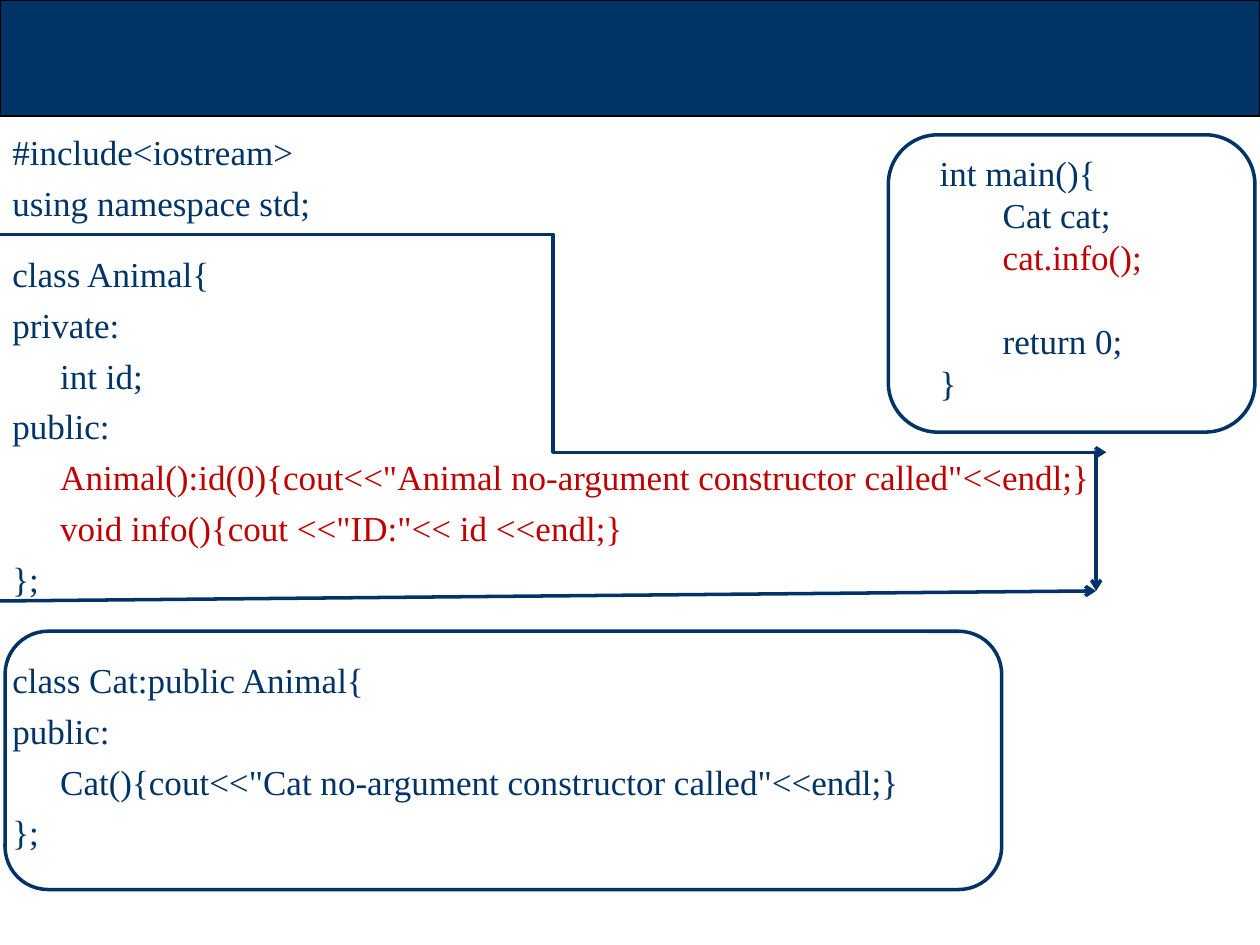
import pptx
import pptx.util
import pptx.dml.color
import pptx.enum.shapes
import pptx.oxml.ns
from lxml import etree

Inches = pptx.util.Inches
Pt = pptx.util.Pt
SHAPES = pptx.enum.shapes.MSO_SHAPE
LINKS = pptx.enum.shapes.MSO_CONNECTOR
NAVY, RED = "003366", "C00000"
FONT = "Times New Roman"

# Each line of code: text, colour, space before in points
CLASSES = [
    ("#include<iostream>", NAVY, 0),
    ("using namespace std;", NAVY, 5),
    ("class Animal{", NAVY, 16.5),
    ("private:", NAVY, 5),
    ("\tint id;", NAVY, 5),
    ("public:", NAVY, 5),
    ('\tAnimal():id(0){cout<<"Animal no-argument constructor called"<<endl;}', RED, 5),
    ('\tvoid info(){cout <<"ID:"<< id <<endl;}', RED, 5),
    ("};", NAVY, 5),
    ("class Cat:public Animal{", NAVY, 34),
    ("public:", NAVY, 5),
    ('\tCat(){cout<<"Cat no-argument constructor called"<<endl;}', NAVY, 5),
    ("};", NAVY, 5),
]
MAIN = [
    ("int main(){", NAVY, 0),
    ("\tCat cat;", NAVY, 0),
    ("\tcat.info();", RED, 0),
    ("\treturn 0;", NAVY, 24),
    ("}", NAVY, 0),
]


def color(code):
    return pptx.dml.color.RGBColor.from_string(code)


def write(para, text, size=20, tint=NAVY, before=0, hang=0):
    """Fill a paragraph; hang is the hanging indent in inches."""
    if hang:
        props = para._p.get_or_add_pPr()
        props.set("marL", str(Inches(hang)))
        props.set("indent", str(-Inches(hang)))
    para.space_before = Pt(before)
    run = para.add_run()
    run.text = text
    run.font.name = FONT
    run.font.size = Pt(size)
    run.font.color.rgb = color(tint)


def add_code(slide, box, lines, hang=0):
    frame = slide.shapes.add_textbox(*map(Inches, box)).text_frame
    frame.word_wrap = True
    for i, (text, tint, before) in enumerate(lines):
        para = frame.add_paragraph() if i else frame.paragraphs[0]
        write(para, text, tint=tint, before=before, hang=hang)


def add_box(slide, kind, box, fill=None, line=NAVY, width=2):
    shape = slide.shapes.add_shape(kind, *map(Inches, box))
    shape.shadow.inherit = False
    if fill:
        shape.fill.solid()
        shape.fill.fore_color.rgb = color(fill)
    else:
        shape.fill.background()
    shape.line.color.rgb = color(line)
    shape.line.width = Pt(width)


def add_arrow(slide, kind, start, end):
    link = slide.shapes.add_connector(kind, *map(Inches, start + end))
    link.line.color.rgb = color(NAVY)
    link.line.width = Pt(2)
    tag = pptx.oxml.ns.qn
    etree.SubElement(link.line._get_or_add_ln(), tag("a:tailEnd"), type="arrow")
    etree.SubElement(link._element.spPr, tag("a:effectLst"))


def add_outline(slide, box):
    """Mark off the Animal class with arrows that meet at the right."""
    left, top, width, height = box
    right, step, foot = left + width, top + 1.73, top + height
    corner = (right, foot - 0.08)
    add_arrow(slide, LINKS.ELBOW, (left, top), (right + 0.08, step))
    add_arrow(slide, LINKS.STRAIGHT, (right, step), corner)
    add_arrow(slide, LINKS.STRAIGHT, (left, foot), corner)


def main():
    deck = pptx.Presentation()
    deck.slide_width, deck.slide_height = Inches(10), Inches(7.5)
    slide = deck.slides.add_slide(deck.slide_layouts[6])
    add_box(slide, SHAPES.RECTANGLE, (0, 0, 10, 0.92), fill=NAVY,
            line="000000", width=0.75)
    add_code(slide, (0, 0.99, 10, 6.51), CLASSES, hang=0.38)
    add_code(slide, (7.36, 1.15, 2.68, 2.44), MAIN)
    for box in ((7.05, 1.07, 2.91, 2.36), (0.04, 5.01, 7.91, 2.05)):
        add_box(slide, SHAPES.ROUNDED_RECTANGLE, box)
    add_outline(slide, (0, 1.86, 8.7, 2.91))
    deck.save("out.pptx")


if __name__ == "__main__":
    main()
